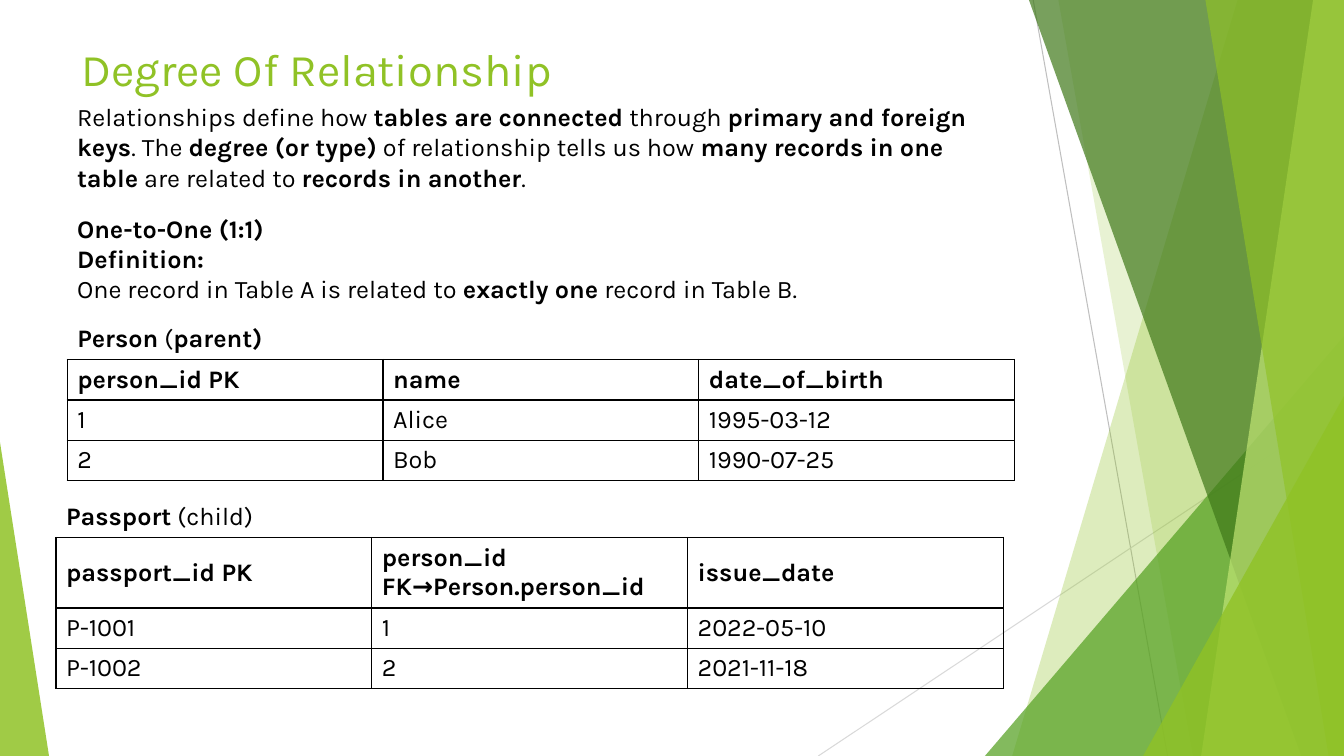
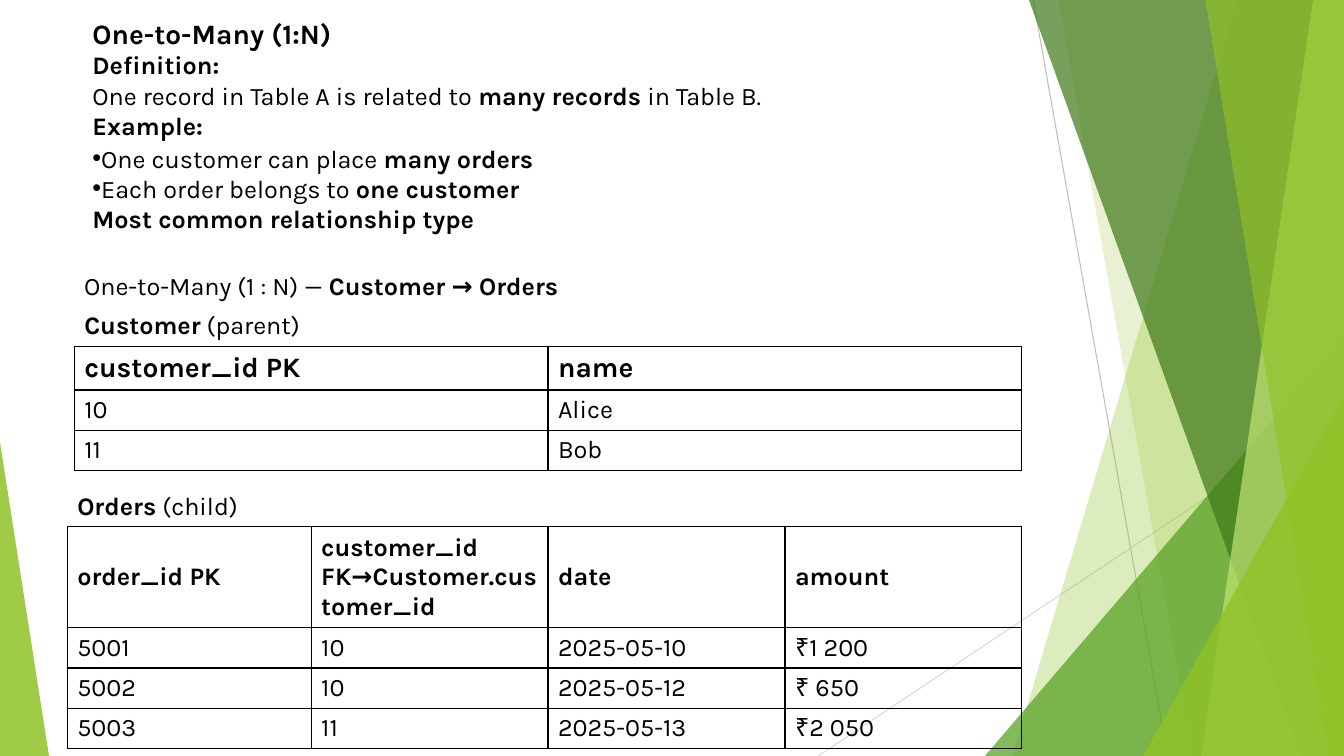
from pptx import Presentation
from pptx import util as u
from pptx.dml.color import RGBColor
from pptx.enum import shapes, text
from pptx.oxml import ns, xmlchemy

Pt = u.Pt
WIDTH, HEIGHT = 960, 540
FONT = "Karla"
ROW = 28.8
COLORS = {
    "ink": "000000",
    "lime": "90C226",
    "green": "54A021",
    "forest": "3F7819",
    "pale": "C0E474",
    "grey": "BFBFBF",
    "light_grey": "D9D9D9",
}


def rgb(name):
    return RGBColor.from_string(COLORS[name])


def child(parent, tag, **attributes):
    element = xmlchemy.OxmlElement(tag)
    for key, value in attributes.items():
        element.set(key, str(value))
    parent.append(element)
    return element


def write(frame, content, size=18, color="ink", bold=False):
    for index, line in enumerate(content.split("\n")):
        paragraph = frame.paragraphs[0] if index == 0 else frame.add_paragraph()
        line_size = size
        if line.startswith("# "):
            line, line_size = line[2:], 20
        if line.startswith("• "):
            line = line[2:]
            properties = paragraph._p.get_or_add_pPr()
            properties.set("marL", "0")
            properties.set("indent", "0")
            child(properties, "a:buFont", typeface="Arial")
            child(properties, "a:buChar", char="•")
        for position, part in enumerate(line.split("**")):
            for piece_index, piece in enumerate(part.split("\v")):
                if piece_index:
                    paragraph.add_line_break()
                if piece:
                    run = paragraph.add_run()
                    run.text = piece
                    run.font.name = FONT
                    run.font.size = Pt(line_size)
                    run.font.bold = bold or position % 2 == 1
                    run.font.color.rgb = rgb(color)


class Deck:
    def __init__(self):
        self.presentation = Presentation()
        self.presentation.slide_width = Pt(WIDTH)
        self.presentation.slide_height = Pt(HEIGHT)
        self.slide = None

    def new_slide(self):
        layout = self.presentation.slide_layouts[6]
        self.slide = self.presentation.slides.add_slide(layout)
        self.ray((738, 0), (834, HEIGHT), "grey")
        self.ray((WIDTH, 290), (584.5, HEIGHT), "light_grey")
        self.band(884, 723, "lime", 30)
        self.band(756, 852, "lime", 20)
        self.corner(703.5, 240, WIDTH, "green", 72, apex=1)
        self.band(735, 929.5, "forest", 70)
        self.band(938, 858, "pale", 70)
        self.band(861, 949, "lime", 65)
        self.corner(816.5, 283, WIDTH, "lime", 80, apex=1)
        self.corner(0, 316, 35, "lime", 85, apex=0)

    def ray(self, start, end, color):
        line = self.slide.shapes.add_connector(
            shapes.MSO_CONNECTOR.STRAIGHT, *map(Pt, start + end))
        line.line.color.rgb = rgb(color)
        line.line.width = Pt(0.75)
        child(line._element.spPr, "a:effectLst")

    def tint(self, shape, color, opacity):
        shape.shadow.inherit = False
        shape.line.fill.background()
        shape.fill.solid()
        shape.fill.fore_color.rgb = rgb(color)
        fill = shape._element.spPr.find(".//" + ns.qn("a:srgbClr"))
        child(fill, "a:alpha", val=opacity * 1000)

    def band(self, top_x, bottom_x, color, opacity):
        outline = self.slide.shapes.build_freeform(Pt(top_x), 0)
        outline.add_line_segments([
            (Pt(WIDTH), 0), (Pt(WIDTH), Pt(HEIGHT)), (Pt(bottom_x), Pt(HEIGHT))])
        self.tint(outline.convert_to_shape(), color, opacity)

    def corner(self, left, top, right, color, opacity, apex):
        triangle = self.slide.shapes.add_shape(
            shapes.MSO_SHAPE.ISOSCELES_TRIANGLE,
            Pt(left), Pt(top), Pt(right - left), Pt(HEIGHT - top))
        triangle.adjustments[0] = apex
        self.tint(triangle, color, opacity)

    def text(self, left, top, width, height, content,
             anchor=text.MSO_ANCHOR.TOP, **style):
        box = self.slide.shapes.add_textbox(*map(Pt, (left, top, width, height)))
        box.text_frame.word_wrap = True
        box.text_frame.vertical_anchor = anchor
        write(box.text_frame, content, **style)

    def title(self, content):
        self.text(51, 24, 677, 48, content,
                  anchor=text.MSO_ANCHOR.BOTTOM, size=32.4, color="lime")

    def edges(self, cell, visible):
        properties = cell._tc.get_or_add_tcPr()
        for side in "LRTB":
            edge = child(properties, "a:ln" + side, w=Pt(1))
            if side in visible:
                child(child(edge, "a:solidFill"), "a:srgbClr", val=COLORS["ink"])
            else:
                child(edge, "a:noFill")

    def table(self, left, top, widths, caption, header, records,
              header_height=ROW, header_size=18):
        rows = [[caption] + [""] * (len(header) - 1), header] + records
        heights = [ROW, header_height] + [ROW] * len(records)
        grid = self.slide.shapes.add_table(
            len(rows), len(widths), Pt(left), Pt(top),
            Pt(sum(widths)), Pt(sum(heights))).table
        grid.first_row = grid.horz_banding = False
        for column, width in zip(grid.columns, widths):
            column.width = Pt(width)
        for index, (row, height, values) in enumerate(zip(grid.rows, heights, rows)):
            row.height = Pt(height)
            is_header = index == 1
            for cell, value in zip(row.cells, values):
                self.edges(cell, "B" if index == 0 else "LRTB")
                cell.fill.background()
                cell.vertical_anchor = text.MSO_ANCHOR.MIDDLE
                write(cell.text_frame, value, bold=is_header,
                      size=header_size if is_header else 18)


def one_to_one(deck):
    deck.new_slide()
    deck.title("Degree Of Relationship")
    deck.text(48, 69, 664, 73,
              "Relationships define how **tables are connected** through "
              "**primary and foreign keys**. The **degree (or type)** of relationship "
              "tells us how **many records in one table** are related to "
              "**records in another**.")
    deck.text(48, 148.5, 659, 94,
              "**One-to-One (1:1)**\n**Definition:**\vOne record in Table A is "
              "related to **exactly one** record in Table B.")
    thirds = [225.6] * 3
    deck.table(48, 228, thirds, "**Person** (**parent)**",
               ["person_id PK", "name", "date_of_birth"],
               [["1", "Alice", "1995-03-12"], ["2", "Bob", "1990-07-25"]])
    deck.table(40, 355, thirds, "**Passport** (child)",
               ["passport_id PK", "person_id FK→Person.person_id", "issue_date"],
               [["P-1001", "1", "2022-05-10"], ["P-1002", "2", "2021-11-18"]],
               header_height=50.4)


def one_to_many(deck):
    deck.new_slide()
    deck.text(59, 8, 703, 119,
              "# **One-to-Many (1:N)**\n**Definition:**\vOne record in Table A is "
              "related to **many records** in Table B.\n**Example:**")
    deck.text(59, 98.5, 665, 94,
              "• One customer can place **many orders**\n"
              "• Each order belongs to **one customer**\n"
              "**Most common relationship type**")
    deck.text(53, 189.5, 592, 29, "One-to-Many (1 : N) — **Customer → Orders**")
    deck.table(53, 218.5, [338.4] * 2, "**Customer** (parent)",
               ["customer_id PK", "name"],
               [["10", "Alice"], ["11", "Bob"]],
               header_height=31.2, header_size=20)
    deck.table(48, 347.5, [174.3] + [169.2] * 3, "**Orders** (child)",
               ["order_id PK", "customer_id FK→Customer.customer_id", "date", "amount"],
               [["5001", "10", "2025-05-10", "₹1 200"],
                ["5002", "10", "2025-05-12", "₹ 650"],
                ["5003", "11", "2025-05-13", "₹2 050"]],
               header_height=72)


def main():
    deck = Deck()
    one_to_one(deck)
    one_to_many(deck)
    deck.presentation.save("out.pptx")


if __name__ == "__main__":
    main()
